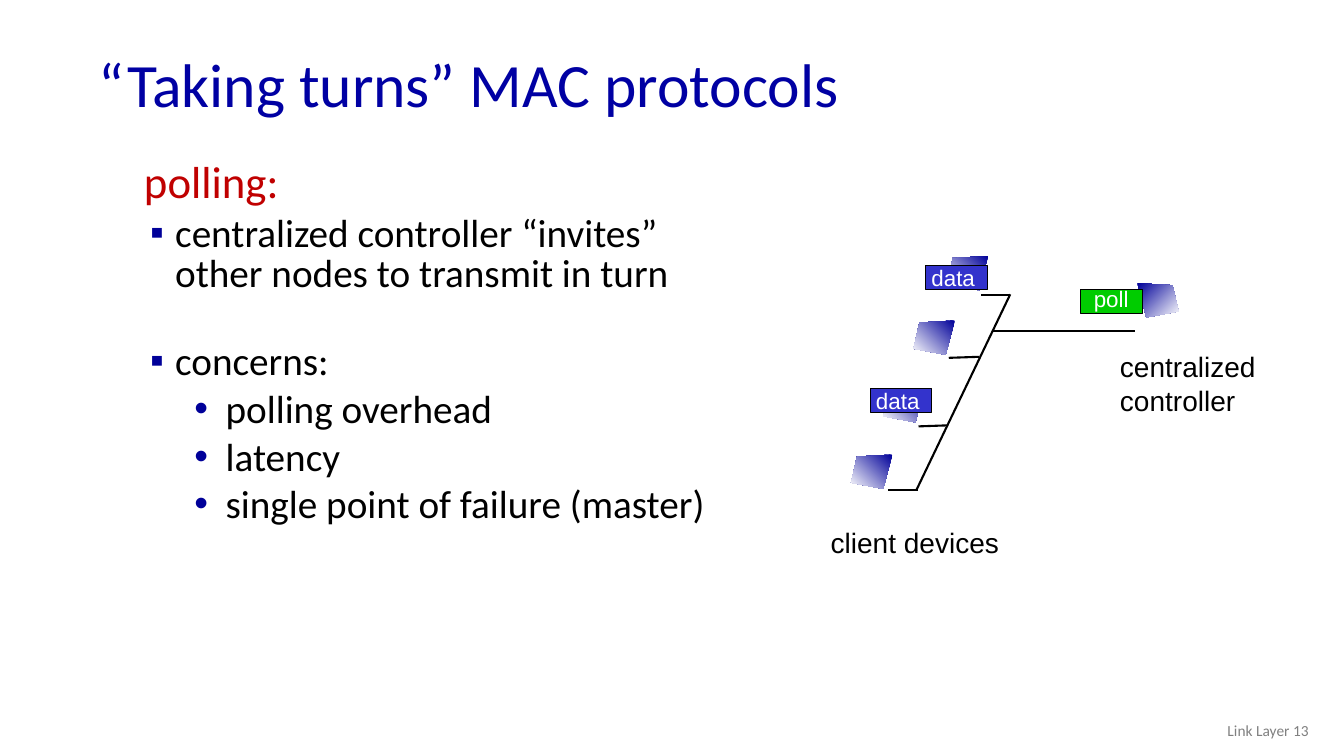
from collections import namedtuple
from pptx import Presentation
from pptx.dml.color import RGBColor
from pptx.enum.shapes import MSO_CONNECTOR as Connector, MSO_SHAPE as Shape
from pptx.enum.text import MSO_ANCHOR as Anchor, PP_ALIGN as Align
from pptx.oxml.ns import qn
from pptx.util import Pt
from lxml.etree import SubElement

PX = 9144
COLORS = {"title": "0000A3", "accent": "C00000", "bullet": "000099", "ink": "000000",
          "paper": "FFFFFF", "data": "3333CC", "poll": "00CC00", "footer": "808080"}
Box = namedtuple("Box", "left top width height")
Level = namedtuple("Level", "margin indent mark size color")
LEVELS = {"head": Level(38, -38, None, 32, "accent"),
          "item": Level(31, -25, "▪", 28, "ink"),
          "sub": Level(81, -31, "•", 28, "ink")}
POINTS = [("head", "polling:", 0),
          ("item", "centralized controller “invites” other nodes to transmit in turn", 5.6),
          ("item", "concerns:", 34),
          ("sub", "polling overhead", 5.6),
          ("sub", "latency", 5.6),
          ("sub", "single point of failure (master)", 5.6)]
DEVICE_WIDTH = 41
DEVICE_OUTLINE = [(41, 0), (6, 2), (0, 28), (32, 34)]
CLIENTS = [(30, 197), (62, 131), (92, 64), (125, 0)]
CONTROLLER = (314, 27)
BUS_LINES = [(171, 74, 312, 74), (159, 39, 188, 39), (95, 232, 188, 38),
             (127, 101, 157, 100), (97, 169, 126, 168), (67, 232, 96, 232)]


def color(name):
    """Return the named colour."""
    return RGBColor.from_string(COLORS[name])


def emu(*lengths):
    """Turn px lengths into EMU."""
    return [length * PX for length in lengths]


def style(para, font, size, ink):
    """Format every run of a paragraph."""
    for span in para.runs:
        span.font.name, span.font.size = font, Pt(size)
        span.font.color.rgb = color(ink)


def add_text(page, box, text, font, size, ink, wrap=True):
    """Add a one-paragraph text box and return its frame."""
    frame = page.shapes.add_textbox(*emu(*box)).text_frame
    frame.word_wrap = wrap
    frame.text = text
    style(frame.paragraphs[0], font, size, ink)
    return frame


def draw_title(page, box):
    """Draw the slide title."""
    frame = add_text(page, box, "“Taking turns” MAC protocols", "Calibri", 44, "title")
    frame.vertical_anchor = Anchor.MIDDLE
    frame.paragraphs[0].line_spacing = 0.9


def set_level(para, level):
    """Give a paragraph its indent and bullet."""
    props = para._p.get_or_add_pPr()
    props.set("marL", str(level.margin * PX))
    props.set("indent", str(level.indent * PX))
    if level.mark:
        tint = SubElement(props, qn("a:buClr"))
        SubElement(tint, qn("a:srgbClr"), val=COLORS["bullet"])
        SubElement(props, qn("a:buFont"), typeface="Arial")
        SubElement(props, qn("a:buChar"), char=level.mark)
    else:
        SubElement(props, qn("a:buNone"))


def draw_points(page, box):
    """Draw the bulleted notes on polling."""
    frame = page.shapes.add_textbox(*emu(*box)).text_frame
    frame.word_wrap = True
    for index, (kind, text, gap) in enumerate(POINTS):
        para = frame.add_paragraph() if index else frame.paragraphs[0]
        level = LEVELS[kind]
        para.text = text
        set_level(para, level)
        para.line_spacing = 0.85
        para.space_before = Pt(gap)
        style(para, "Calibri", level.size, level.color)


def draw_device(page, left, top, mirrored=False):
    """Draw one shaded network device."""
    outline = [(left + (DEVICE_WIDTH - x if mirrored else x), top + y)
               for x, y in DEVICE_OUTLINE]
    builder = page.shapes.build_freeform(*outline[0], scale=PX)
    builder.add_line_segments(outline[1:], close=True)
    device = builder.convert_to_shape()
    device.shadow.inherit = False
    device.line.fill.background()
    device.fill.gradient()
    device.fill.gradient_angle = 315 if mirrored else 225
    for stop, name, position in zip(device.fill.gradient_stops, ("bullet", "paper"), (0, 1)):
        stop.color.rgb = color(name)
        stop.position = position


def draw_frame_tag(page, left, top, name, label):
    """Draw a coloured message tag with its label offset from the tag corner."""
    tag = page.shapes.add_shape(Shape.RECTANGLE, *emu(left, top, 61, 24))
    tag.shadow.inherit = False
    tag.fill.solid()
    tag.fill.fore_color.rgb = color(name)
    tag.line.color.rgb = color("ink")
    tag.line.width = Pt(0.75)
    box = Box(left + label.left, top + label.top, label.width, label.height)
    add_text(page, box, name, "Arial", 16, "paper", wrap=False)


def draw_line(page, *ends):
    """Draw one segment of the shared bus."""
    line = page.shapes.add_connector(Connector.STRAIGHT, *emu(*ends))
    line.line.color.rgb = color("ink")
    line.line.width = Pt(1.5)
    SubElement(line._element.spPr, qn("a:effectLst"))


def draw_network(page, box):
    """Draw the clients, the controller and the bus that joins them."""
    left, top = box.left, box.top
    for x, y in CLIENTS:
        draw_device(page, left + x, top + y)
    draw_device(page, left + CONTROLLER[0], top + CONTROLLER[1], mirrored=True)
    add_text(page, Box(left + 287, top + 88, 174, 77), "centralized controller",
             "Arial", 20, "ink")
    add_text(page, Box(left, top + 262, 195, 44), "client devices",
             "Arial", 20, "ink", wrap=False)
    draw_frame_tag(page, left + 258, top + 33, "poll", Box(3, -9, 55, 37))
    for x, y in [(49, 131), (104, 9)]:
        draw_frame_tag(page, left + x, top + y, "data", Box(-4, -6, 63, 37))
    for x1, y1, x2, y2 in BUS_LINES:
        draw_line(page, left + x1, top + y1, left + x2, top + y2)


def draw_footer(page, box):
    """Draw the chapter name and page number."""
    frame = add_text(page, box, "Link Layer 13", "Calibri", 11, "footer")
    frame.vertical_anchor = Anchor.MIDDLE
    frame.paragraphs[0].alignment = Align.RIGHT


def main():
    """Build and save the deck."""
    deck = Presentation()
    deck.slide_width, deck.slide_height = emu(1333, 750)
    page = deck.slides.add_slide(deck.slide_layouts[6])
    draw_title(page, Box(88, 38, 1150, 98))
    draw_points(page, Box(133, 156, 600, 554))
    draw_network(page, Box(814, 254, 461, 306))
    draw_footer(page, Box(1008, 705, 300, 40))
    deck.save("out.pptx")


if __name__ == "__main__":
    main()
